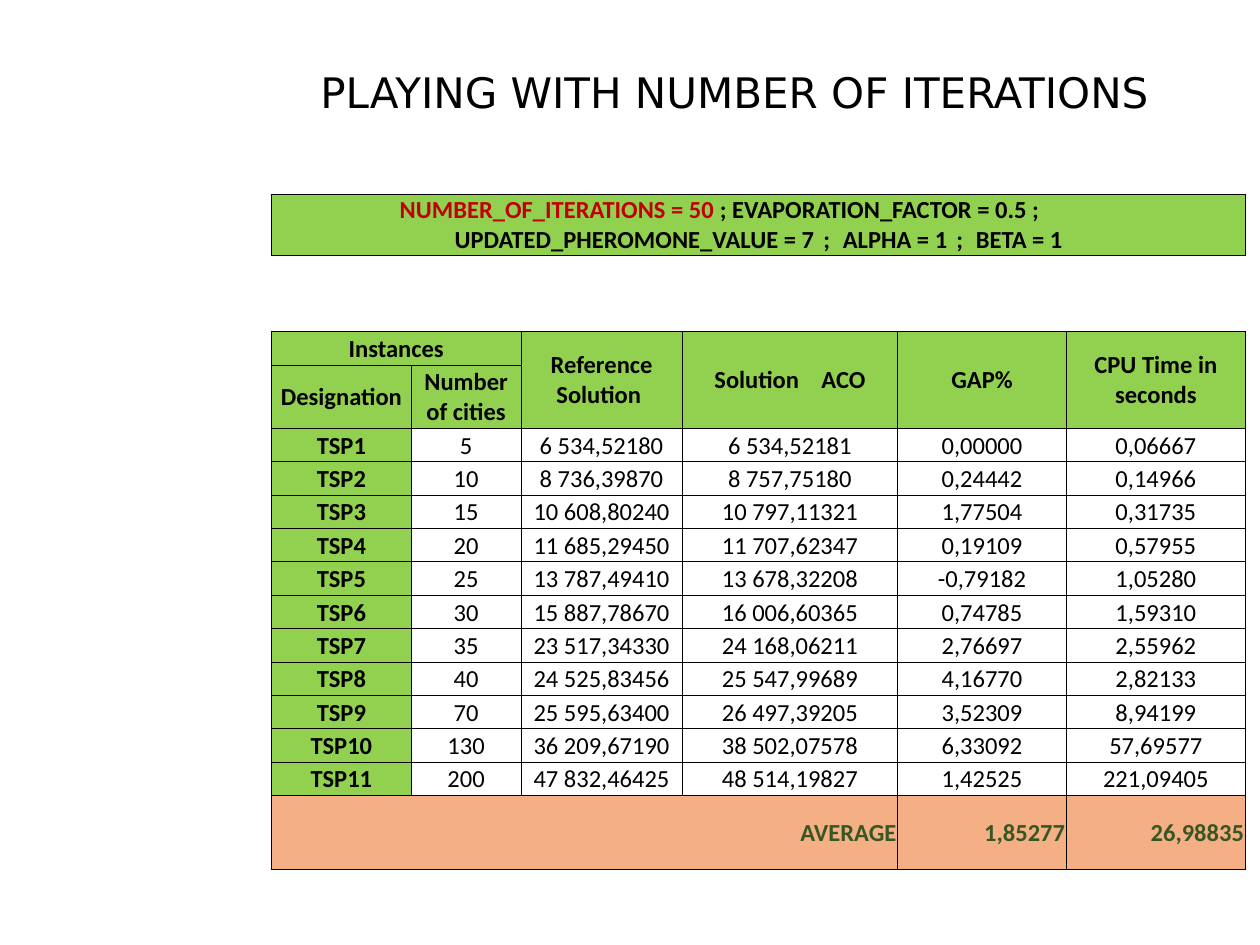
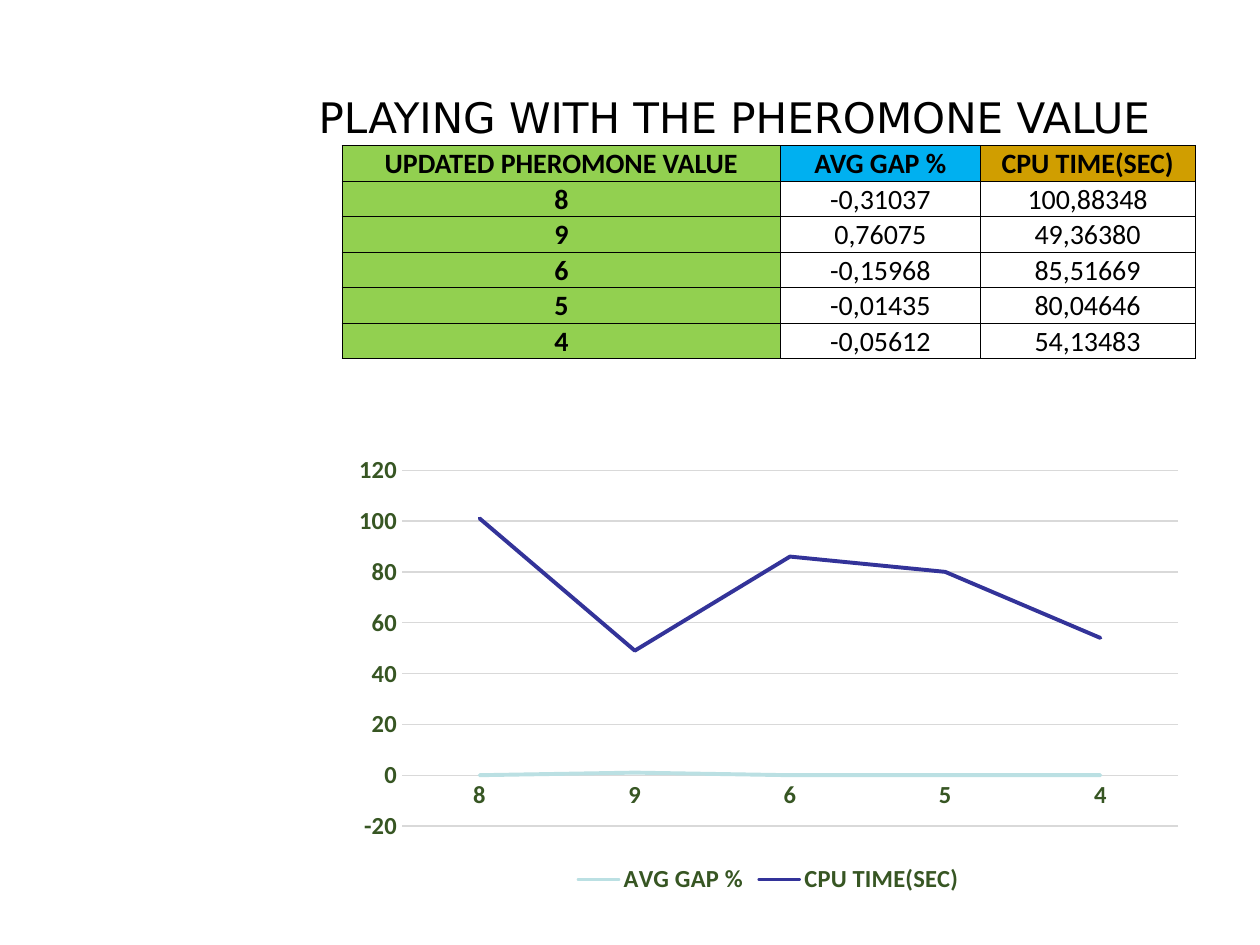
from dataclasses import dataclass

from lxml.etree import SubElement
from pptx import Presentation
from pptx.chart.data import CategoryChartData
from pptx.dml.color import RGBColor
from pptx.enum.chart import XL_CHART_TYPE as ChartType
from pptx.enum.chart import XL_LEGEND_POSITION as LegendPosition
from pptx.enum.chart import XL_TICK_MARK as TickMark
from pptx.enum.text import MSO_ANCHOR as Anchor
from pptx.enum.text import PP_ALIGN as Align
from pptx.oxml.ns import qn
from pptx.util import Emu, Pt

PX = 4572
COLORS = {
    "black": "000000",
    "red": "C00000",
    "green": "92D050",
    "blue": "00B0F0",
    "gold": "D09E00",
    "orange": "F4B084",
    "dark_green": "375623",
    "grid": "D9D9D9",
    "pale_line": "BBE0E3",
    "navy_line": "333399",
}


def px(length):
    return Emu(length * PX)


def color(name):
    return RGBColor.from_string(COLORS[name])


@dataclass
class Span:
    text: str
    color: str = "black"
    spacing: int = 0


@dataclass
class Cell:
    lines: list
    fill: str = ""
    bold: bool = False
    align: Align = Align.CENTER
    rows: int = 1
    columns: int = 1
    first_line_right: int = 0


def plain(text):
    return Cell([[Span(text)]])


def label(text, fill="green", **options):
    return Cell([[Span(text)]], fill, True, **options)


def average(text, **options):
    return Cell([[Span(text, "dark_green")]], "orange", True, Align.RIGHT, **options)


class Builder:
    body_font = "Calibri"
    title_font = "DejaVu Sans"

    def __init__(self):
        self.deck = Presentation()
        self.deck.slide_width = px(2000)
        self.deck.slide_height = px(1500)
        self.page = None

    def add_page(self, title, title_height):
        self.page = self.deck.slides.add_slide(self.deck.slide_layouts[5])
        box = self.page.shapes.title
        box.left, box.top, box.width, box.height = map(px, (432, 60, 1468, title_height))
        box.text_frame.vertical_anchor = Anchor.MIDDLE
        para = box.text_frame.paragraphs[0]
        para.alignment = Align.CENTER
        self.add_span(para, Span(title), 24, font=self.title_font)

    def style_font(self, font, size, tint, bold):
        font.name = self.body_font
        font.size = Pt(size)
        font.bold = bold
        font.color.rgb = color(tint)

    def add_span(self, para, span, size, bold=False, font=body_font):
        run = para.add_run()
        run.text = span.text
        self.style_font(run.font, size, span.color, bold)
        run.font.name = font
        if span.spacing:
            run.font._element.set("spc", str(span.spacing))

    def add_borders(self, cell):
        properties = cell._tc.get_or_add_tcPr()
        for side in ("lnL", "lnR", "lnT", "lnB"):
            line = SubElement(properties, qn(f"a:{side}"), w=str(Pt(0.5)))
            fill = SubElement(line, qn("a:solidFill"))
            SubElement(fill, qn("a:srgbClr"), val=COLORS["black"])

    def fill_cell(self, target, cell, size, anchor):
        target.vertical_anchor = anchor
        frame = target.text_frame
        for index, line in enumerate(cell.lines):
            para = frame.add_paragraph() if index else frame.paragraphs[0]
            para.alignment = cell.align
            if cell.first_line_right:
                right = 0 if index else cell.first_line_right
                para._p.get_or_add_pPr().set("marR", str(px(right)))
            for span in line:
                self.add_span(para, span, size, cell.bold)
        if cell.fill:
            target.fill.solid()
            target.fill.fore_color.rgb = color(cell.fill)

    def add_table(self, left, top, widths, heights, rows, size, anchor=Anchor.MIDDLE):
        frame = self.page.shapes.add_table(
            len(heights), len(widths), px(left), px(top), px(sum(widths)), px(sum(heights))
        )
        table = frame.table
        table.first_row = table.horz_banding = False
        for column, width in zip(table.columns, widths):
            column.width = px(width)
        for row, height in zip(table.rows, heights):
            row.height = px(height)
        for r, row in enumerate(rows):
            for c, cell in enumerate(row):
                target = table.cell(r, c)
                target.margin_left = target.margin_right = target.margin_top = px(2)
                target.margin_bottom = 0
                self.add_borders(target)
                target.fill.background()
                if cell is None:
                    continue
                if cell.rows * cell.columns > 1:
                    target.merge(table.cell(r + cell.rows - 1, c + cell.columns - 1))
                self.fill_cell(target, cell, size, anchor)

    def add_line_chart(self, left, top, width, height, categories, series):
        data = CategoryChartData(number_format="#,##0")
        data.categories = categories
        for name, values, tint in series:
            data.add_series(name, values)
        chart = self.page.shapes.add_chart(
            ChartType.LINE, px(left), px(top), px(width), px(height), data
        ).chart
        self.style_font(chart.font, 14, "dark_green", True)
        chart.has_title = False
        chart.has_legend = True
        chart.legend.position = LegendPosition.BOTTOM
        chart.legend.include_in_layout = False
        chart.plots[0].vary_by_categories = False
        for line, (name, values, tint) in zip(chart.plots[0].series, series):
            line.smooth = False
            line.format.line.width = Pt(2.25)
            line.format.line.color.rgb = color(tint)
            line.format.line._get_or_add_ln().set("cap", "rnd")
        category_axis, value_axis = chart.category_axis, chart.value_axis
        for axis in (category_axis, value_axis):
            axis.major_tick_mark = axis.minor_tick_mark = TickMark.NONE
            self.style_font(axis.tick_labels.font, 14, "dark_green", True)
        value_axis.minimum_scale, value_axis.maximum_scale = -20, 120
        value_axis.major_unit = 20
        value_axis.tick_labels.number_format = "#,##0"
        value_axis.tick_labels.number_format_is_linked = False
        value_axis.format.line.fill.background()
        for line in (category_axis.format.line, value_axis.major_gridlines.format.line):
            line.color.rgb = color("grid")
            line.width = Pt(0.75)


INSTANCES = [
    ("5", "6 534,52180", "6 534,52181", "0,00000", "0,06667"),
    ("10", "8 736,39870", "8 757,75180", "0,24442", "0,14966"),
    ("15", "10 608,80240", "10 797,11321", "1,77504", "0,31735"),
    ("20", "11 685,29450", "11 707,62347", "0,19109", "0,57955"),
    ("25", "13 787,49410", "13 678,32208", "-0,79182", "1,05280"),
    ("30", "15 887,78670", "16 006,60365", "0,74785", "1,59310"),
    ("35", "23 517,34330", "24 168,06211", "2,76697", "2,55962"),
    ("40", "24 525,83456", "25 547,99689", "4,16770", "2,82133"),
    ("70", "25 595,63400", "26 497,39205", "3,52309", "8,94199"),
    ("130", "36 209,67190", "38 502,07578", "6,33092", "57,69577"),
    ("200", "47 832,46425", "48 514,19827", "1,42525", "221,09405"),
]
PHEROMONE = [
    ("8", "-0,31037", "100,88348"),
    ("9", "0,76075", "49,36380"),
    ("6", "-0,15968", "85,51669"),
    ("5", "-0,01435", "80,04646"),
    ("4", "-0,05612", "54,13483"),
]


def build_iterations(builder):
    builder.add_page("PLAYING WITH NUMBER OF ITERATIONS", 170)
    separator = Span(" ; ", spacing=200)
    parameters = Cell(
        [
            [Span("NUMBER_OF_ITERATIONS = 50 ", "red"), Span("; EVAPORATION_FACTOR = 0.5 ;")],
            [Span("UPDATED_PHEROMONE_VALUE = 7"), separator, Span("ALPHA = 1"), separator,
             Span("BETA = 1")],
        ],
        "green",
        True,
        first_line_right=124,
    )
    widths = [222, 174, 256, 342, 268, 284]
    builder.add_table(431, 308, [sum(widths)], [95], [[parameters]], 14)
    solution = Cell([[Span("Solution"), Span(" ", spacing=950), Span("ACO")]], "green", True, rows=2)
    rows = [
        [label("Instances", columns=2), None, label("Reference Solution ", rows=2), solution,
         label("GAP%", rows=2), label("CPU Time in seconds", rows=2)],
        [label("Designation"), label("Number of cities")] + [None] * 4,
    ]
    for number, values in enumerate(INSTANCES, 1):
        rows.append([label(f"TSP{number}")] + [plain(value) for value in values])
    rows.append([average("AVERAGE", columns=4), None, None, None,
                 average("1,85277"), average("26,98835")])
    heights = [54, 100] + [53] * len(INSTANCES) + [117]
    builder.add_table(431, 526, widths, heights, rows, 14)


def build_pheromone(builder):
    builder.add_page("PLAYING WITH THE PHEROMONE VALUE", 250)
    headers = [("UPDATED PHEROMONE VALUE", "green"), ("AVG GAP %", "blue"),
               ("CPU TIME(SEC)", "gold")]
    rows = [[label(text, fill) for text, fill in headers]]
    rows += [[label(value), plain(gap), plain(time)] for value, gap, time in PHEROMONE]
    builder.add_table(543, 231, [696, 317, 341], [56] * len(rows), rows, 16, Anchor.BOTTOM)
    categories, *columns = zip(*PHEROMONE)
    series = [
        (name, [round(float(text.replace(",", "."))) for text in column], tint)
        for (name, fill), column, tint in zip(headers[1:], columns, ("pale_line", "navy_line"))
    ]
    builder.add_line_chart(543, 708, 1354, 720, categories, series)


def main():
    builder = Builder()
    build_iterations(builder)
    build_pheromone(builder)
    builder.deck.save("out.pptx")


if __name__ == "__main__":
    main()
